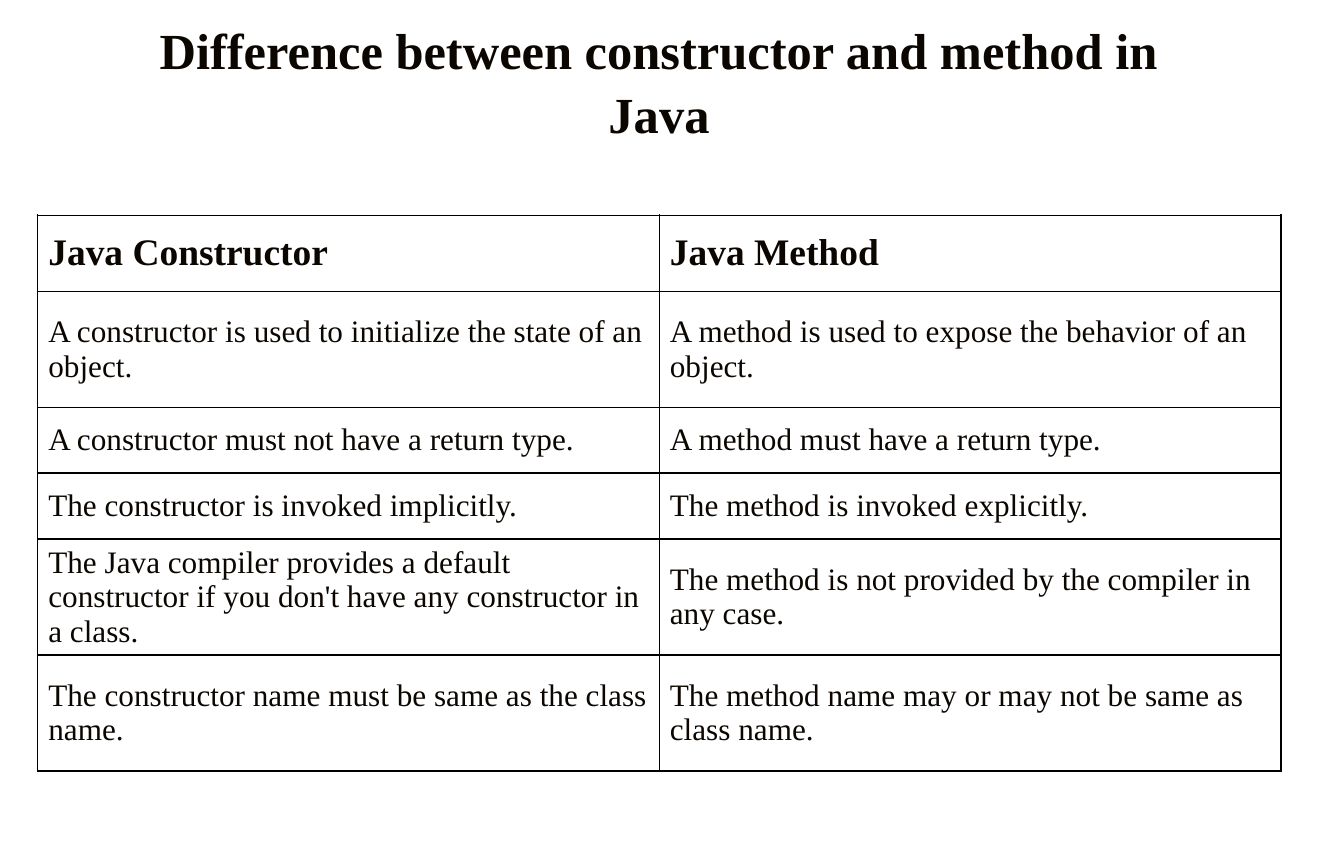
import pptx
import pptx.util
import pptx.dml.color
import pptx.enum.text
import pptx.oxml
import pptx.oxml.ns
import lxml.etree

Pt = pptx.util.Pt
ANCHOR = pptx.enum.text.MSO_ANCHOR
ALIGN = pptx.enum.text.PP_ALIGN

TITLE = "Difference between constructor and method in Java"
ROWS = [  # height, constructor, method
    (48.8, "Java Constructor", "Java Method"),
    (74.4, "A constructor is used to initialize the state of an object.",
     "A method is used to expose the behavior of an object."),
    (42.3, "A constructor must not have a return type.",
     "A method must have a return type."),
    (42.3, "The constructor is invoked implicitly.",
     "The method is invoked explicitly."),
    (74.4, "The Java compiler provides a default constructor if you don't have "
     "any constructor in a class.",
     "The method is not provided by the compiler in any case."),
    (74.4, "The constructor name must be same as the class name.",
     "The method name may or may not be same as class name."),
]
COLORS = {"text": "0C0600", "border": "000000"}
FONT = "Times New Roman"
TITLE_BOX = {"left": 91.4, "top": 18, "width": 662.4, "height": 66.2}
TABLE_LEFT, TABLE_TOP, COLUMN_WIDTH = 24.2, 138, 398.6
MARGINS = {"margin_left": Pt(6.8), "margin_right": Pt(6.8),
           "margin_top": Pt(3.6), "margin_bottom": Pt(3.6)}
BORDER_WIDTH = 1


def apply(target, values):
    for name, value in values.items():
        setattr(target, name, value)


def write(para, text, size, bold):
    span = para.add_run()
    span.text = text
    apply(span.font, {"name": FONT, "size": Pt(size), "bold": bold})
    span.font.color.rgb = pptx.dml.color.RGBColor.from_string(COLORS["text"])


def add_borders(cell):
    """Draw all four sides; the lines must come before the fill."""
    properties = cell._tc.get_or_add_tcPr()
    qn = pptx.oxml.ns.qn
    for index, side in enumerate(("lnL", "lnR", "lnT", "lnB")):
        line = lxml.etree.Element(qn("a:" + side), w=str(Pt(BORDER_WIDTH)))
        fill = lxml.etree.SubElement(line, qn("a:solidFill"))
        lxml.etree.SubElement(fill, qn("a:srgbClr"), val=COLORS["border"])
        properties.insert(index, line)


deck = pptx.Presentation()
apply(deck, {"slide_width": Pt(861.84), "slide_height": Pt(540)})
page = deck.slides.add_slide(deck.slide_layouts[5])

title = page.shapes.title
apply(title, {name: Pt(value) for name, value in TITLE_BOX.items()})
apply(title.text_frame, {"word_wrap": True, "vertical_anchor": ANCHOR.MIDDLE,
                         "auto_size": pptx.enum.text.MSO_AUTO_SIZE.NONE})
para = title.text_frame.paragraphs[0]
apply(para, {"alignment": ALIGN.CENTER, "space_before": Pt(6.5),
             "line_spacing": 1.05})
write(para, TITLE, 32.4, True)

table_height = sum(row[0] for row in ROWS)
table = page.shapes.add_table(
    len(ROWS), 2, Pt(TABLE_LEFT), Pt(TABLE_TOP),
    Pt(2 * COLUMN_WIDTH), Pt(table_height)).table
apply(table, {"first_row": False, "horz_banding": False})
for column in table.columns:
    column.width = Pt(COLUMN_WIDTH)

for row_index, (height, *texts) in enumerate(ROWS):
    table.rows[row_index].height = Pt(height)
    is_header = row_index == 0
    for column_index, text in enumerate(texts):
        cell = table.cell(row_index, column_index)
        apply(cell, {**MARGINS, "vertical_anchor": ANCHOR.MIDDLE})
        cell.fill.background()
        add_borders(cell)
        write(cell.text_frame.paragraphs[0], text,
              24 if is_header else 20, is_header)

deck.save("out.pptx")
